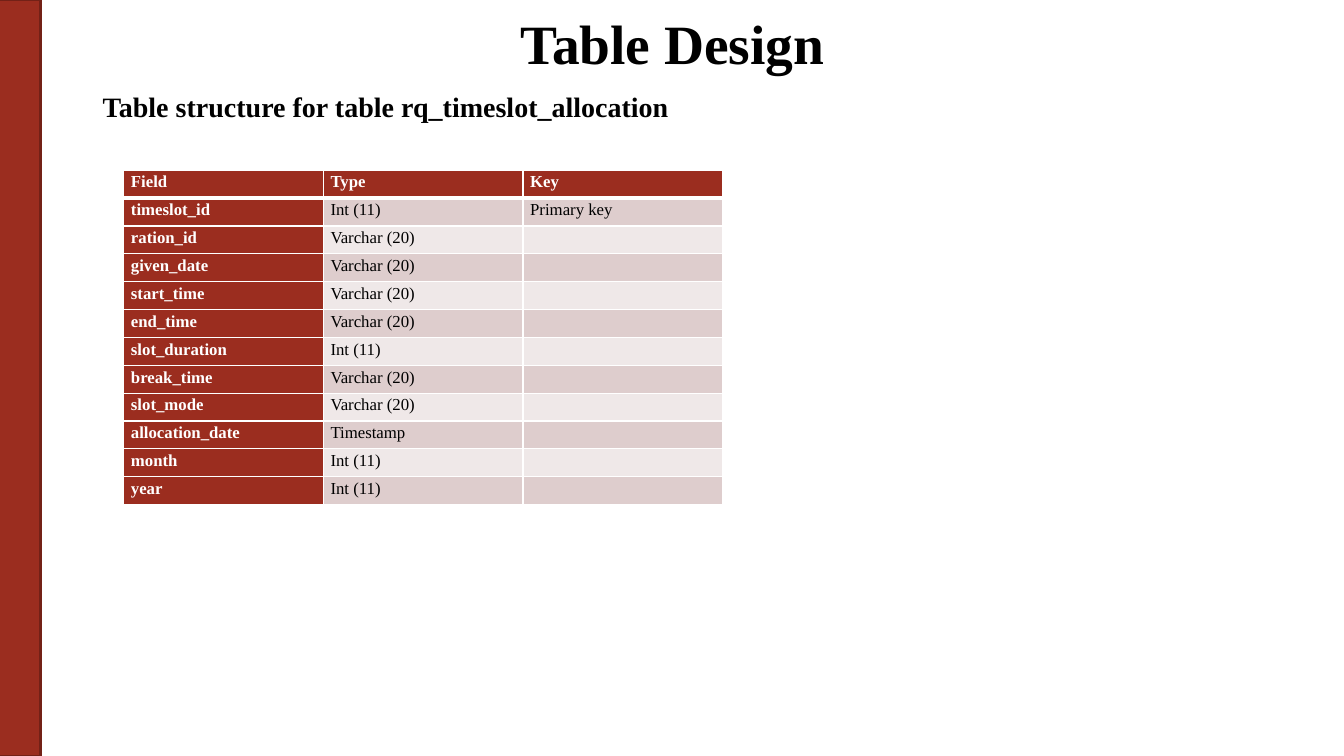
"""Build the Table Design slide describing the rq_timeslot_allocation table."""
import pptx
import pptx.dml.color
import pptx.enum.shapes
import pptx.enum.text
import pptx.oxml
import pptx.oxml.ns
import pptx.util

Cm, Pt = pptx.util.Cm, pptx.util.Pt
ALIGN = pptx.enum.text.PP_ALIGN
ANCHOR = pptx.enum.text.MSO_ANCHOR
RED, WHITE, BLACK = "9B2D1F", "FFFFFF", "000000"
BANDS = ["EFE8E8", "DECDCD"]


def rgb(value):
    return pptx.dml.color.RGBColor.from_string(value)


def add_run(p, text, size, color, bold):
    r = p.add_run()
    r.text = text
    r.font.name = "Times New Roman"
    r.font.size = Pt(size)
    r.font.bold = bold
    r.font.color.rgb = rgb(color)


prs = pptx.Presentation()
prs.slide_width, prs.slide_height = Cm(33.87), Cm(19.05)
s = prs.slides.add_slide(prs.slide_layouts[6])

sp = s.shapes.add_shape(pptx.enum.shapes.MSO_SHAPE.RECTANGLE, Cm(-0.05), Cm(0), Cm(1.07), Cm(19.05))
sp.shadow.inherit = False
sp.fill.solid()
sp.fill.fore_color.rgb = rgb(RED)
sp.line.color.rgb = rgb("732117")
sp.line.width = Pt(2)

headings = [
    ("Table Design", 0.36, 1.42, 39.6, ALIGN.CENTER, ANCHOR.MIDDLE, 0),
    ("Table structure for table rq_timeslot_allocation", 2.13, 15.04, 20, ALIGN.LEFT, ANCHOR.TOP, 4),
]
for text, top, height, size, align, anchor, before in headings:
    tf = s.shapes.add_textbox(Cm(2.34), Cm(top), Cm(29.21), Cm(height)).text_frame
    tf.word_wrap = True
    tf.vertical_anchor = anchor
    p = tf.paragraphs[0]
    p.alignment = align
    p.space_before = Pt(before)
    add_run(p, text, size, BLACK, True)

rows = [
    ("Field", "Type", "Key"),
    ("timeslot_id", "Int (11)", "Primary key"),
    ("ration_id", "Varchar (20)", ""),
    ("given_date", "Varchar (20)", ""),
    ("start_time", "Varchar (20)", ""),
    ("end_time", "Varchar (20)", ""),
    ("slot_duration", "Int (11)", ""),
    ("break_time", "Varchar (20)", ""),
    ("slot_mode", "Varchar (20)", ""),
    ("allocation_date", "Timestamp", ""),
    ("month", "Int (11)", ""),
    ("year", "Int (11)", ""),
]
table = s.shapes.add_table(len(rows), 3, Cm(3.12), Cm(4.29), Cm(15.09), Cm(8.43)).table
table.first_row = table.horz_banding = False
for column in table.columns:
    column.width = Cm(5.03)

for i, row in enumerate(rows):
    table.rows[i].height = Cm(8.43 / len(rows))
    for j, text in enumerate(row):
        cell = table.cell(i, j)
        cell.margin_left = cell.margin_right = Cm(0.18)
        cell.margin_top = cell.margin_bottom = Cm(0)
        header = i == 0 or j == 0
        p = cell.text_frame.paragraphs[0]
        if text:
            p.line_spacing = 1.15
            p.space_after = Pt(10)
            add_run(p, text, 12, WHITE if header else BLACK, header)
        else:
            p._p.get_or_add_endParaRPr().set("sz", "1200")
        for side in ("L", "R", "T", "B"):
            heavy = (i, side) in ((0, "B"), (1, "T"))
            cell._tc.get_or_add_tcPr().append(pptx.oxml.parse_xml(
                f'<a:ln{side} {pptx.oxml.ns.nsdecls("a")} w="{Pt(3 if heavy else 1)}">'
                f'<a:solidFill><a:srgbClr val="{WHITE}"/></a:solidFill></a:ln{side}>'))
        cell.fill.solid()
        cell.fill.fore_color.rgb = rgb(RED if header else BANDS[i % 2])

prs.save("out.pptx")
